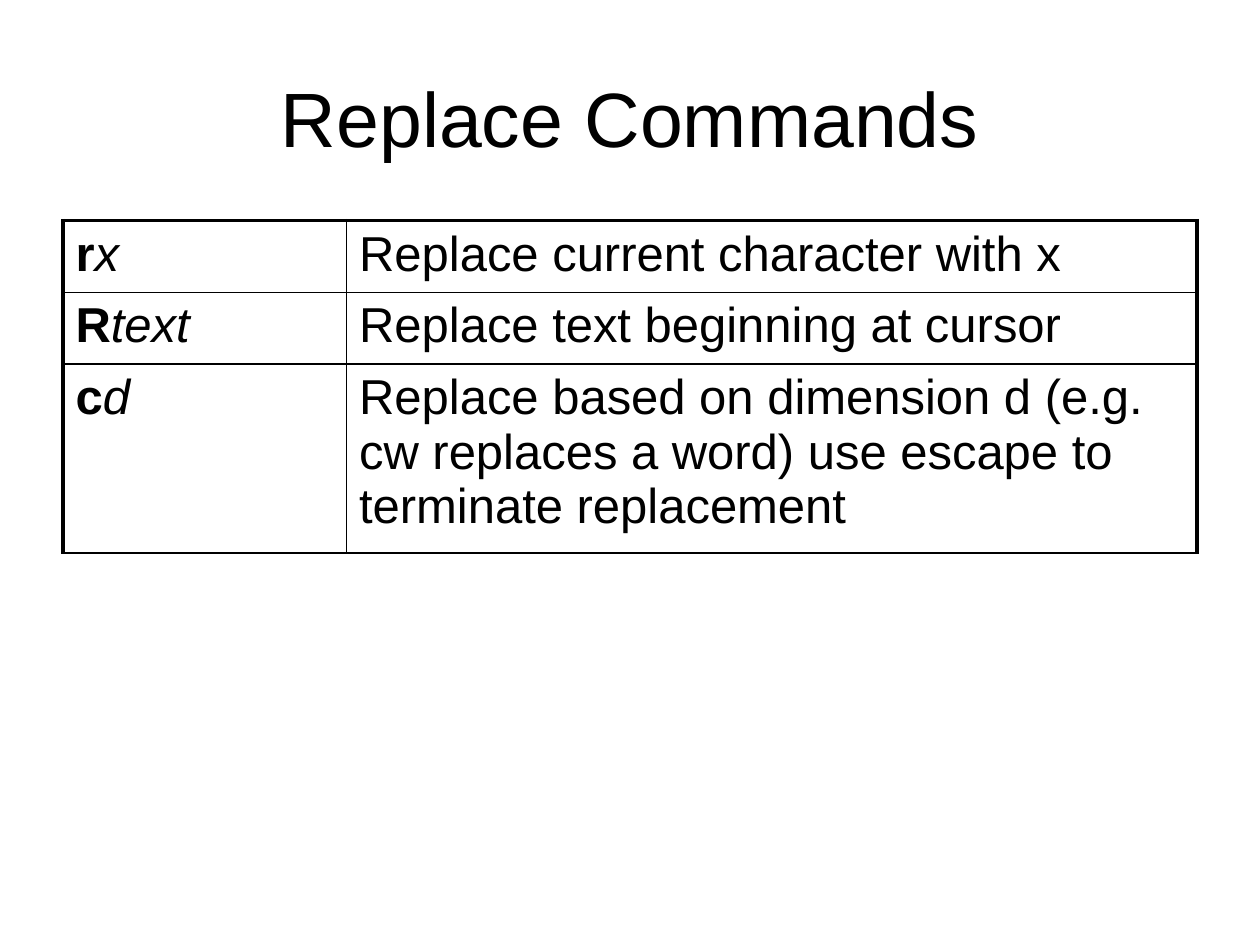
import pptx
import pptx.dml.color
import pptx.enum.text
import pptx.oxml
import pptx.oxml.ns
import pptx.util

HUES = {"ink": "000000", "page": "FFFFFF"}
FACE = {"name": "Arial", "bold": False, "italic": False}
ROWS = [
    ("r", "x", "Replace current character with x"),
    ("R", "text", "Replace text beginning at cursor"),
    ("c", "d", "Replace based on dimension d (e.g. cw replaces a word) "
               "use escape to terminate replacement"),
]
WIDE, THIN = 2.25, 1


def style(font, size, **extra):
    form = {**FACE, "size": pptx.util.Pt(size), **extra}
    for key, value in form.items():
        setattr(font, key, value)
    font.color.rgb = pptx.dml.color.RGBColor.from_string(HUES["ink"])


def edge(cell, sides):
    props = cell._tc.get_or_add_tcPr()
    for spot, (side, width) in enumerate(sides.items()):
        line = pptx.oxml.parse_xml(
            f'<a:ln{side} {pptx.oxml.ns.nsdecls("a")} w="{pptx.util.Pt(width)}">'
            f'<a:solidFill><a:srgbClr val="{HUES["ink"]}"/></a:solidFill>'
            f'<a:prstDash val="solid"/></a:ln{side}>')
        props.insert(spot, line)


deck = pptx.Presentation()
deck.slide_width = pptx.util.Inches(10)
deck.slide_height = pptx.util.Inches(7.5)
wide, high = deck.slide_width, deck.slide_height
slide = deck.slides.add_slide(deck.slide_layouts[5])
slide.background.fill.solid()
slide.background.fill.fore_color.rgb = pptx.dml.color.RGBColor.from_string(HUES["page"])

left, span = int(wide * 0.05), int(wide * 0.9)
title = slide.shapes.title
place = {"left": left, "top": int(high * 0.04), "width": span, "height": int(high / 6)}
for key, value in place.items():
    setattr(title, key, value)
title.text_frame.text = "Replace Commands"
title.text_frame.vertical_anchor = pptx.enum.text.MSO_ANCHOR.MIDDLE
head = title.text_frame.paragraphs[0]
head.alignment = pptx.enum.text.PP_ALIGN.CENTER
style(head.runs[0].font, 44)

tall = [pptx.util.Inches(size) for size in (0.57, 0.57, 1.5)]
frame = slide.shapes.add_table(len(ROWS), 2, left, int(high * 7 / 30), span, sum(tall))
table = frame.table
table.first_row = table.horz_banding = False
for col, share in zip(table.columns, (1, 3)):
    col.width = span * share // 4

for row, (key, arg, note) in enumerate(ROWS):
    table.rows[row].height = tall[row]
    parts = [[(key, {"bold": True}), (arg, {"italic": True})], [(note, {})]]
    for col, runs in enumerate(parts):
        cell = table.cell(row, col)
        cell.fill.background()
        para = cell.text_frame.paragraphs[0]
        for text, extra in runs:
            run = para.add_run()
            run.text = text
            style(run.font, 28, **extra)
        edge(cell, {
            "L": WIDE if col == 0 else THIN,
            "R": WIDE if col == 1 else THIN,
            "T": WIDE if row == 0 else THIN,
            "B": THIN,
        })

deck.save("out.pptx")
